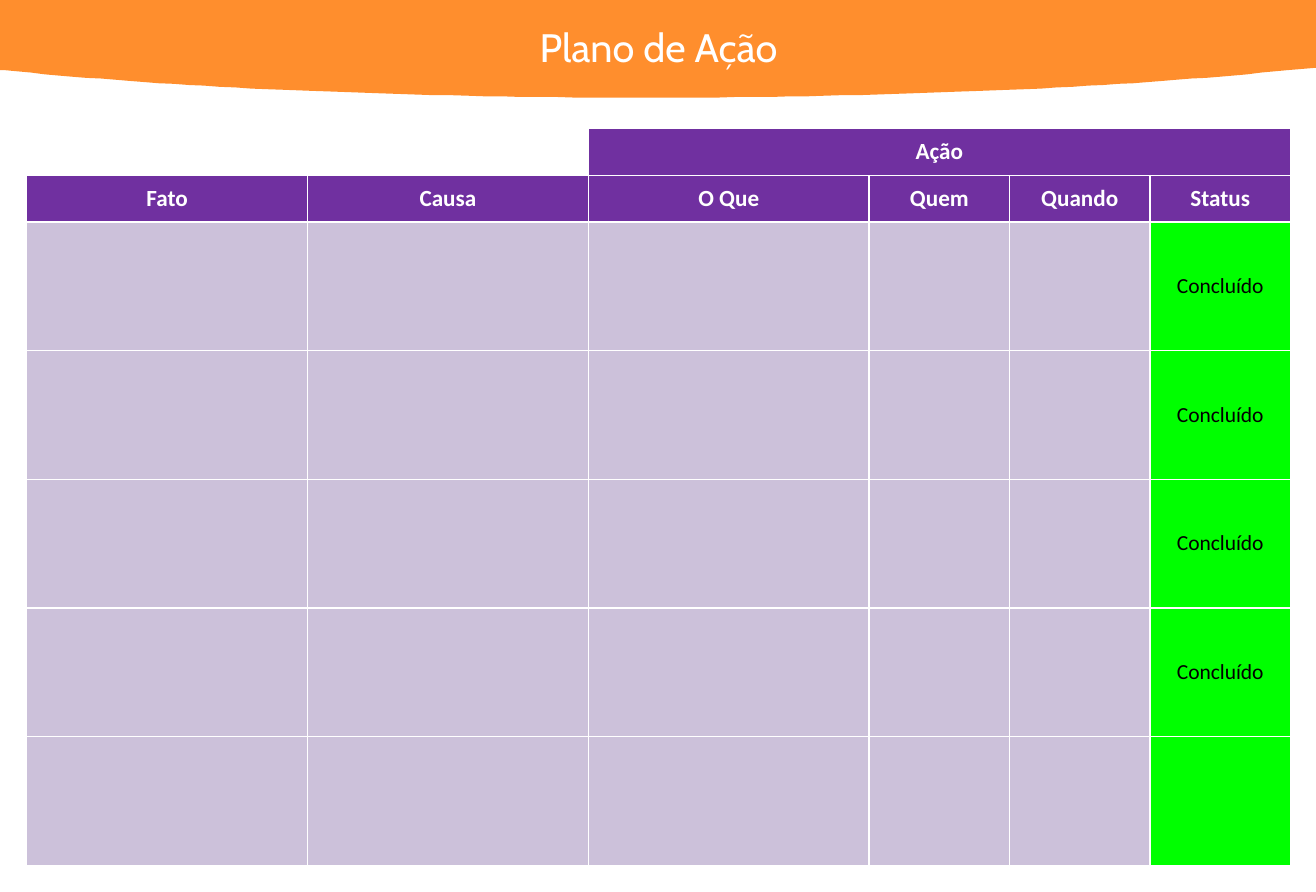
from lxml import etree
from pptx import Presentation
from pptx.dml.color import RGBColor
from pptx.enum.text import MSO_ANCHOR, PP_ALIGN
from pptx.oxml.ns import qn
from pptx.util import Pt

PX = 4572  # EMU per px, 200 px to the inch
SLIDE_WIDTH, SLIDE_HEIGHT = 2212, 1500
BLANK_LAYOUT = 6
CENTER = PP_ALIGN.CENTER
MIDDLE = MSO_ANCHOR.MIDDLE

ORANGE = RGBColor(0xFF, 0x8E, 0x2D)
PURPLE = RGBColor(0x70, 0x30, 0xA0)
LILAC = RGBColor(0xCC, 0xC1, 0xDA)
GREEN = RGBColor(0x00, 0xFF, 0x00)
WHITE = RGBColor(0xFF, 0xFF, 0xFF)
BLACK = RGBColor(0x00, 0x00, 0x00)

COLUMN_WIDTHS = [472] * 3 + [236] * 3
ROW_HEIGHTS = [78] * 2 + [216.5] * 5
HEADINGS = ["Fato", "Causa", "O Que", "Quem", "Quando", "Status"]
STATUSES = ["Concluído"] * 4 + [""]
ACTION_COLUMN = 2
CURVE_STEPS = 40


def curve_points(start, control_a, control_b, end):
    """Points along a cubic curve, without its start."""
    points = []
    for step in range(1, CURVE_STEPS + 1):
        t = step / CURVE_STEPS
        u = 1 - t
        points.append(tuple(
            u**3 * a + 3 * u * u * t * b + 3 * u * t * t * c + t**3 * d
            for a, b, c, d in zip(start, control_a, control_b, end)))
    return points


def style_paragraph(para, font_name, size, color, bold=False):
    para.alignment = CENTER
    for span in para.runs:
        span.font.name = font_name
        span.font.size = Pt(size)
        span.font.bold = bold
        span.font.color.rgb = color


def add_banner(page, left, top, width):
    right_edge, left_edge = (width - 48, 118), (8, 118)
    lowest = (1086, 164)
    outline = [(width, 0), (width, 114), right_edge]
    outline += curve_points(right_edge, (1872, 148), (1496, 164), lowest)
    outline += curve_points(lowest, (676, 164), (300, 148), left_edge)
    outline.append((0, 118))
    builder = page.shapes.build_freeform(0, 0, scale=PX)
    builder.add_line_segments(outline, close=True)
    banner = builder.convert_to_shape(left * PX, top * PX)
    banner.shadow.inherit = False
    banner.fill.solid()
    banner.fill.fore_color.rgb = ORANGE
    banner.line.fill.background()


def add_title(page, left, top, width, height):
    box = page.shapes.add_textbox(left * PX, top * PX, width * PX, height * PX)
    box.text_frame.word_wrap = True
    box.text_frame.text = "Plano de Ação"
    style_paragraph(box.text_frame.paragraphs[0], "Cabin", 24, WHITE)


def add_borders(cell):
    properties = cell._tc.get_or_add_tcPr()
    for side in ("a:lnL", "a:lnR", "a:lnT", "a:lnB"):
        line = etree.SubElement(properties, qn(side), w=str(Pt(1)))
        fill = etree.SubElement(line, qn("a:solidFill"))
        etree.SubElement(fill, qn("a:srgbClr"), val=str(WHITE))


def fill_cell(cell, color, text="", size=14, text_color=WHITE, bold=True):
    cell.fill.solid()
    cell.fill.fore_color.rgb = color
    cell.margin_left = cell.margin_right = 0
    cell.margin_top = cell.margin_bottom = 0
    cell.vertical_anchor = MIDDLE
    if text:
        cell.text_frame.text = text
        style_paragraph(cell.text_frame.paragraphs[0], "Calibri", size,
                        text_color, bold)


def add_action_table(page, left, top):
    frame = page.shapes.add_table(
        len(ROW_HEIGHTS), len(COLUMN_WIDTHS), left * PX, top * PX,
        sum(COLUMN_WIDTHS) * PX, int(sum(ROW_HEIGHTS) * PX))
    table = frame.table
    table.first_row = table.horz_banding = False
    for column, width in zip(table.columns, COLUMN_WIDTHS):
        column.width = width * PX
    for row, height in zip(table.rows, ROW_HEIGHTS):
        row.height = int(height * PX)
    for cell in table.iter_cells():
        add_borders(cell)

    last = len(HEADINGS) - 1
    for column in range(ACTION_COLUMN):
        table.cell(0, column).fill.background()
    action = table.cell(0, ACTION_COLUMN)
    action.merge(table.cell(0, last))
    fill_cell(action, PURPLE, "Ação")
    for column, heading in enumerate(HEADINGS):
        fill_cell(table.cell(1, column), PURPLE, heading)
    for row, status in enumerate(STATUSES, start=2):
        for column in range(last):
            fill_cell(table.cell(row, column), LILAC)
        fill_cell(table.cell(row, last), GREEN, status, 13, BLACK, False)


def main():
    deck = Presentation()
    deck.slide_width = SLIDE_WIDTH * PX
    deck.slide_height = SLIDE_HEIGHT * PX
    page = deck.slides.add_slide(deck.slide_layouts[BLANK_LAYOUT])
    add_banner(page, 0, 0, SLIDE_WIDTH)
    add_title(page, 510, 28, 1194, 100)
    add_action_table(page, 45, 215)
    deck.save("out.pptx")


if __name__ == "__main__":
    main()
